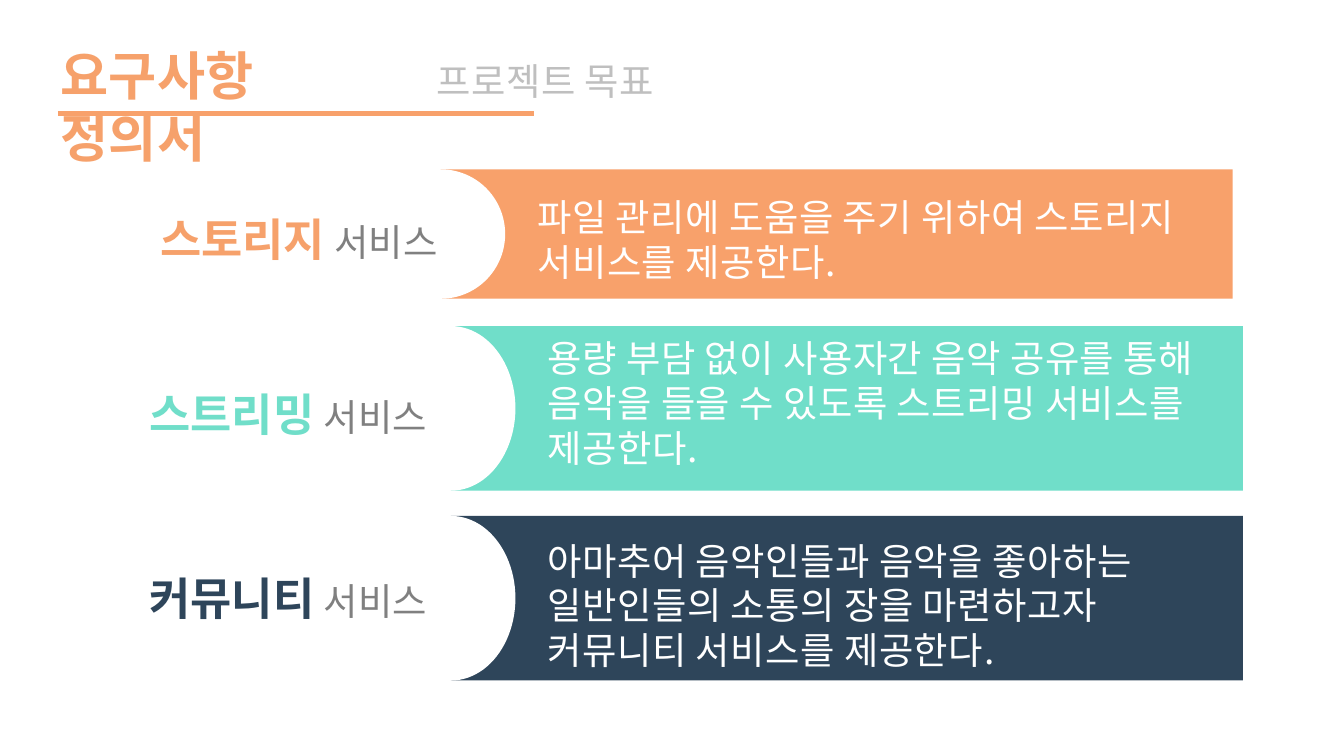
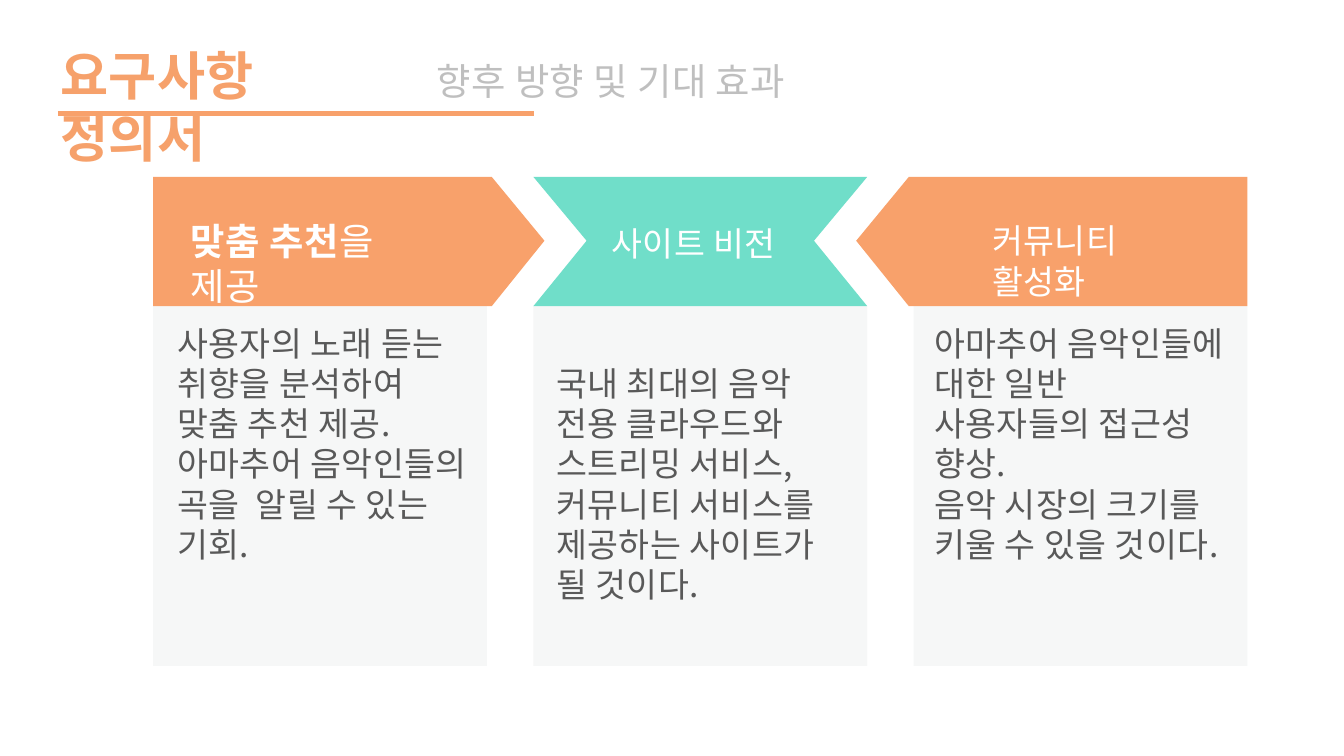
from lxml import etree
from pptx import Presentation
from pptx.dml.color import RGBColor
from pptx.enum.shapes import MSO_CONNECTOR, MSO_SHAPE
from pptx.enum.text import MSO_AUTO_SIZE, PP_ALIGN
from pptx.oxml.ns import qn
from pptx.util import Pt

RECT, OVAL = MSO_SHAPE.RECTANGLE, MSO_SHAPE.OVAL
STRAIGHT = MSO_CONNECTOR.STRAIGHT
LEFT, RIGHT = PP_ALIGN.LEFT, PP_ALIGN.RIGHT
GROW = MSO_AUTO_SIZE.SHAPE_TO_FIT_TEXT

FONT = "Noto Sans CJK KR"
SPACING = "25"  # hundredths of a point, for runs of several words
ORANGE = RGBColor(0xF8, 0xA1, 0x6B)
ORANGE_TEXT = RGBColor(0xF6, 0xA1, 0x6B)
MINT = RGBColor(0x70, 0xDE, 0xC9)
NAVY = RGBColor(0x2E, 0x45, 0x5A)
WHITE = RGBColor(0xFF, 0xFF, 0xFF)
CARD = RGBColor(0xF6, 0xF7, 0xF7)
SILVER = RGBColor(0xBF, 0xBF, 0xBF)
GRAY = RGBColor(0x80, 0x80, 0x80)
DARK = RGBColor(0x59, 0x59, 0x59)

# Service bands
BAND_W, CAP_W, BODY_DX = 424.3, 69.1, 44.7

# Outlook columns
COL_X, COL_STEP, COL_W = 82.1, 203.7, 178.8
HEAD_Y, HEAD_MID, HEAD_END, CARD_H = 94.8, 129, 164, 192.8
SHOULDER, TIP, NOTCH = 181.4, 209.6, 28.5


def paint(sp, color):
    sp.shadow.inherit = False
    sp.fill.solid()
    sp.fill.fore_color.rgb = color
    sp.line.fill.background()


def add_block(slide, kind, x, y, w, h, color):
    paint(slide.shapes.add_shape(kind, Pt(x), Pt(y), Pt(w), Pt(h)), color)


def add_outline(slide, points, color):
    points = [(Pt(x), Pt(y)) for x, y in points]
    builder = slide.shapes.build_freeform(*points[0], scale=1.0)
    builder.add_line_segments(points[1:], close=True)
    paint(builder.convert_to_shape(), color)


def add_text(slide, x, y, w, h, paragraphs, align=LEFT, right_inset=7.2):
    """Each paragraph is a list of (text, size, color, bold) runs."""
    tf = slide.shapes.add_textbox(Pt(x), Pt(y), Pt(w), Pt(h)).text_frame
    tf.word_wrap = True
    tf.auto_size = GROW
    tf.margin_right = Pt(right_inset)
    for i, runs in enumerate(paragraphs):
        p = tf.paragraphs[0] if i == 0 else tf.add_paragraph()
        p.alignment = align
        for text, size, color, bold in runs:
            r = p.add_run()
            r.text = text
            r.font.size = Pt(size)
            r.font.bold = bold
            r.font.color.rgb = color
            r.font.name = FONT
            ea = etree.SubElement(r.font._element, qn("a:ea"))
            ea.set("typeface", FONT)
            if " " in text:
                r.font._element.set("spc", SPACING)


def add_page(prs, subtitle, subtitle_w):
    slide = prs.slides.add_slide(prs.slide_layouts[6])
    rule = slide.shapes.add_connector(STRAIGHT, Pt(31), Pt(60.8), Pt(286.3), Pt(60.8))
    rule.line.color.rgb = ORANGE
    rule.line.width = Pt(3)
    etree.SubElement(rule._element.spPr, qn("a:effectLst"))
    add_text(slide, 25.2, 19.4, 201.6, 41,
             [[("요구사항 정의서", 28, ORANGE_TEXT, True)]], right_inset=25)
    add_text(slide, 226.8, 27.4, subtitle_w, 31.7,
             [[(subtitle, 20, SILVER, False)]])
    return slide


def add_service(slide, x, y, h, color, name, name_color, label_pos, body, body_y, body_h):
    add_block(slide, RECT, x, y, BAND_W, h, color)
    add_block(slide, OVAL, x - CAP_W / 2, y, CAP_W, h, WHITE)
    add_text(slide, x + BODY_DX, body_y, 368.6, body_h, [[(body, 20, WHITE, False)]])
    add_text(slide, *label_pos, 300.2, 36,
             [[(name, 24, name_color, True), (" 서비스", 20, GRAY, False)]], RIGHT)


def goals_slide(prs):
    slide = add_page(prs, "프로젝트 목표", 195.1)
    add_service(slide, 236.1, 90.7, 69.4, ORANGE, "스토리지", ORANGE_TEXT, (-58.3, 109.8),
                "파일 관리에 도움을 주기 위하여 스토리지 서비스를 제공한다.", 100.4, 55.4)
    add_service(slide, 241.6, 174.7, 88.2, MINT, "스트리밍", MINT, (-64.1, 203.6),
                "용량 부담 없이 사용자간 음악 공유를 통해 음악을 들을 수 있도록 "
                "스트리밍 서비스를 제공한다.", 176.2, 79.9)
    add_service(slide, 241.6, 276.4, 88.2, NAVY, "커뮤니티", NAVY, (-64.1, 302.4),
                "아마추어 음악인들과 음악을 좋아하는 일반인들의 소통의 장을 "
                "마련하고자 커뮤니티 서비스를 제공한다.", 284.5, 79.9)


def outlook_slide(prs):
    slide = add_page(prs, "향후 방향 및 기대 효과", 218.2)
    xs = [COL_X + COL_STEP * i for i in range(3)]
    for x in xs:
        add_block(slide, RECT, x, HEAD_END, COL_W, CARD_H, CARD)

    # Header shapes: arrows facing inward, ribbon between them
    arrow = [(0, HEAD_Y), (SHOULDER, HEAD_Y), (TIP, HEAD_MID),
             (SHOULDER, HEAD_END), (0, HEAD_END)]
    ribbon = [(0, HEAD_Y), (COL_W, HEAD_Y), (COL_W - NOTCH, HEAD_MID),
              (COL_W, HEAD_END), (0, HEAD_END), (NOTCH, HEAD_MID)]
    add_outline(slide, [(xs[0] + x, y) for x, y in arrow], ORANGE)
    add_outline(slide, [(xs[1] + x, y) for x, y in ribbon], MINT)
    add_outline(slide, [(xs[2] + COL_W - x, y) for x, y in arrow], ORANGE)

    # Header texts
    add_text(slide, 95, 113.4, 154.1, 31.7,
             [[("맞춤 추천", 20, WHITE, True), ("을 제공", 20, WHITE, False)]], right_inset=25)
    add_text(slide, 320.4, 115.9, 114.5, 28.8, [[("사이트 비전", 18, WHITE, False)]])
    add_text(slide, 524.5, 114.5, 134.6, 28.8,
             [[("커뮤니티 활성화", 18, WHITE, False)]], right_inset=25)

    # Card texts
    cards = [
        (87.8, 169.2, ["사용자의 노래 듣는",
                       "취향을 분석하여 맞춤 추천 제공. 아마추어 음악인들의 곡을  알릴 수 있는 기회."]),
        (290.9, 190.8, ["국내 최대의 음악 전용 클라우드와 스트리밍 서비스, "
                        "커뮤니티 서비스를 제공하는 사이트가 될 것이다."]),
        (493.4, 169.2, ["아마추어 음악인들에 대한 일반 사용자들의 접근성 향상.",
                        "음악 시장의 크기를 키울 수 있을 것이다."]),
    ]
    for x, y, lines in cards:
        add_text(slide, x, y, 172.8, 116.6, [[(line, 18, DARK, False)] for line in lines])


def main():
    prs = Presentation()
    prs.slide_width, prs.slide_height = Pt(720), Pt(405)
    goals_slide(prs)
    outlook_slide(prs)
    prs.save("out.pptx")


if __name__ == "__main__":
    main()
